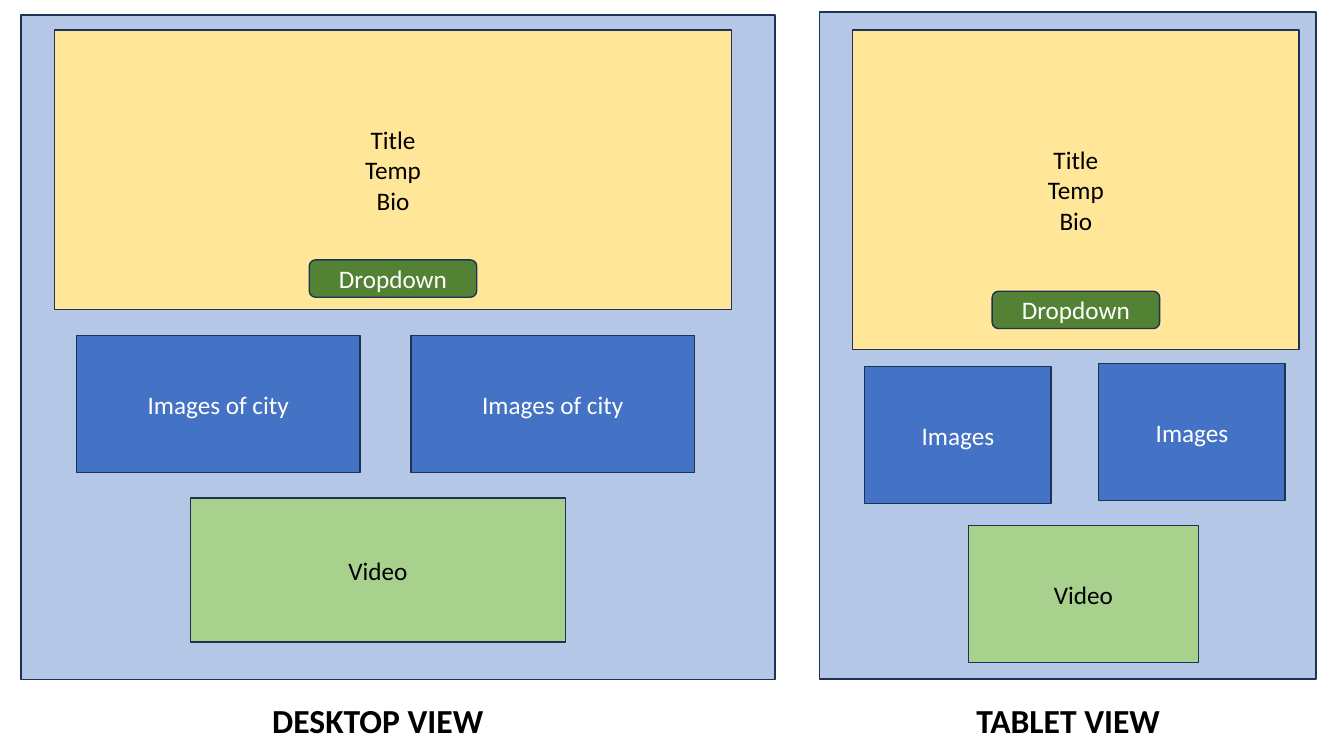
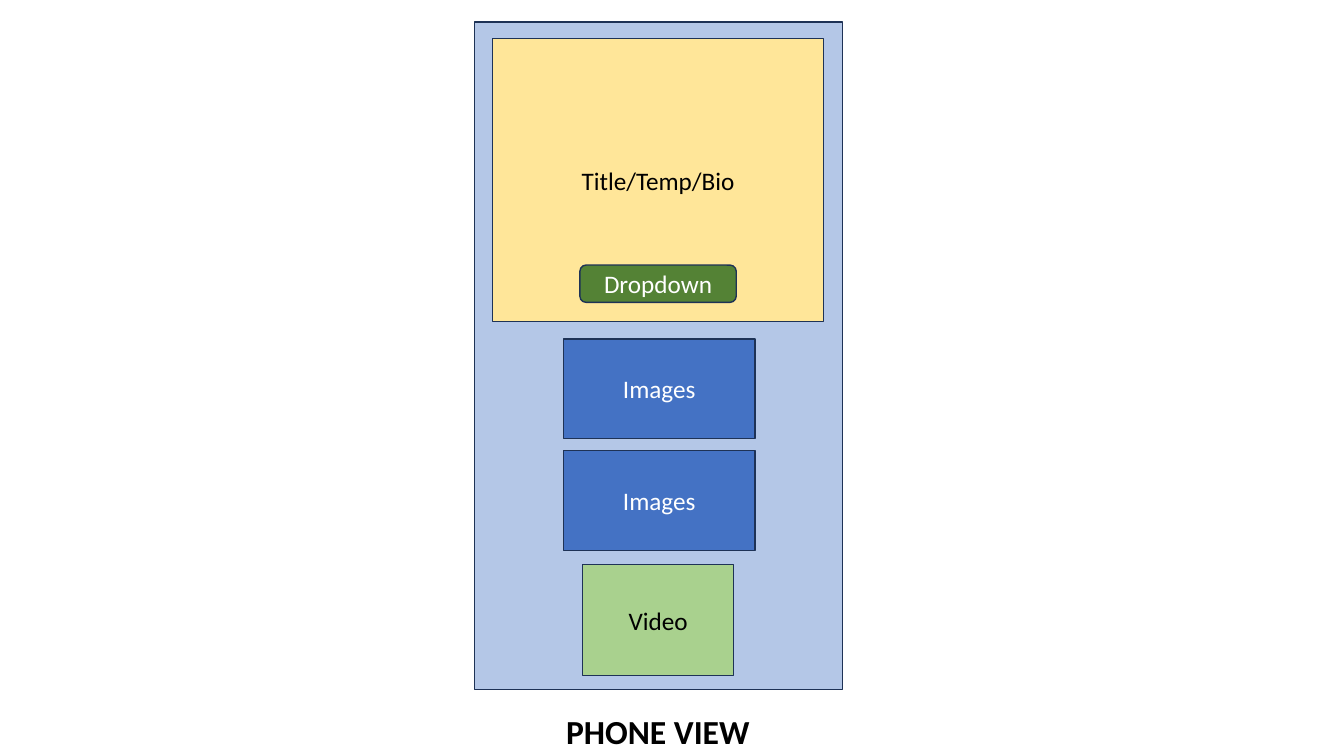
"""Builds wireframes of a city page in desktop, tablet and phone views."""
from dataclasses import dataclass

from pptx import Presentation
from pptx import util as u
from pptx.dml import color
from pptx.enum import shapes, text

FONT = "Calibri"
COLOURS = {
    "page": "B4C7E7",
    "hero": "FFE699",
    "image": "4472C4",
    "video": "A9D18E",
    "dropdown": "548235",
    "outline": "1E3256",
    "dark": "000000",
    "light": "FFFFFF",
}
DROPDOWN_HEIGHT = 0.94
CAPTION_HEIGHT = 1.27


@dataclass
class View:
    """A page frame on the slide; its parts are placed from the frame's corner."""
    caption: str
    frame: tuple
    hero: tuple
    hero_lines: tuple
    dropdown_top: float
    dropdown_width: float
    image_label: str
    image_size: tuple
    image_corners: tuple
    video: tuple
    caption_corner: tuple
    caption_width: float


DESKTOP = View(
    caption="DESKTOP VIEW",
    frame=(0.53, 0.38, 19, 16.74),
    hero=(0.84, 0.38, 17.07, 7.04),
    hero_lines=("Title", "Temp", "Bio"),
    dropdown_top=6.17,
    dropdown_width=4.22,
    image_label="Images of city",
    image_size=(7.14, 3.45),
    image_corners=((1.4, 8.08), (9.83, 8.08)),
    video=(4.27, 12.17, 9.45, 3.63),
    caption_corner=(3.91, 17.12),
    caption_width=10.16,
)
TABLET = View(
    caption="TABLET VIEW",
    frame=(20.65, 0.3, 12.52, 16.81),
    hero=(0.84, 0.46, 11.25, 8.05),
    hero_lines=("Title", "Temp", "Bio"),
    dropdown_top=7.04,
    dropdown_width=4.22,
    image_label="Images",
    image_size=(4.7, 3.45),
    image_corners=((1.14, 8.94), (7.04, 8.86)),
    video=(3.76, 12.95, 5.79, 3.45),
    caption_corner=(1.19, 17.2),
    caption_width=10.16,
)
PHONE = View(
    caption="PHONE VIEW",
    frame=(11.96, 0.56, 9.27, 16.81),
    hero=(0.46, 0.41, 8.33, 7.14),
    hero_lines=("Title/Temp/Bio",),
    dropdown_top=6.12,
    dropdown_width=3.94,
    image_label="Images",
    image_size=(4.83, 2.51),
    image_corners=((2.24, 7.98), (2.24, 10.8)),
    video=(2.72, 13.67, 3.81, 2.79),
    caption_corner=(0.86, 17.22),
    caption_width=7.52,
)


def rgb(name):
    """Return the named colour."""
    return color.RGBColor.from_string(COLOURS[name])


def lengths(box):
    """Turn a box in centimetres into lengths."""
    return [u.Cm(value) for value in box]


def write(shape, lines, ink, size=18, bold=False):
    """Write centred lines, one paragraph each."""
    frame = shape.text_frame
    frame.word_wrap = True
    for index, line in enumerate(lines):
        paragraph = frame.add_paragraph() if index else frame.paragraphs[0]
        paragraph.alignment = text.PP_ALIGN.CENTER
        run = paragraph.add_run()
        run.text = line
        run.font.name = FONT
        run.font.size = u.Pt(size)
        run.font.bold = bold
        run.font.color.rgb = rgb(ink)


def add_block(slide, box, fill, lines=(), ink="light", preset=shapes.MSO_SHAPE.RECTANGLE):
    """Add an outlined block with centred text."""
    shape = slide.shapes.add_shape(preset, *lengths(box))
    shape.shadow.inherit = False
    shape.fill.solid()
    shape.fill.fore_color.rgb = rgb(fill)
    shape.line.color.rgb = rgb("outline")
    shape.line.width = u.Pt(1)
    shape.text_frame.vertical_anchor = text.MSO_ANCHOR.MIDDLE
    write(shape, lines, ink)


def add_caption(slide, box, caption):
    """Add the bold name under a view."""
    write(slide.shapes.add_textbox(*lengths(box)), [caption], "dark", size=24, bold=True)


def add_view(slide, view):
    """Draw one page view with all its parts."""
    left, top = view.frame[:2]

    def inside(x, y, width, height):
        """Shift a box from the frame's corner to the slide."""
        return left + x, top + y, width, height

    add_block(slide, view.frame, "page")
    add_block(slide, inside(*view.hero), "hero", view.hero_lines, "dark")
    dropdown_left = view.hero[0] + (view.hero[2] - view.dropdown_width) / 2
    add_block(
        slide,
        inside(dropdown_left, view.dropdown_top, view.dropdown_width, DROPDOWN_HEIGHT),
        "dropdown",
        ["Dropdown"],
        preset=shapes.MSO_SHAPE.ROUNDED_RECTANGLE,
    )
    for corner in view.image_corners:
        add_block(slide, inside(*corner, *view.image_size), "image", [view.image_label])
    add_block(slide, inside(*view.video), "video", ["Video"], "dark")
    caption_box = inside(*view.caption_corner, view.caption_width, CAPTION_HEIGHT)
    add_caption(slide, caption_box, view.caption)


def main():
    """Build and save the presentation."""
    presentation = Presentation()
    presentation.slide_width = u.Cm(33.87)
    presentation.slide_height = u.Cm(19.05)
    for views in ((DESKTOP, TABLET), (PHONE,)):
        slide = presentation.slides.add_slide(presentation.slide_layouts[6])
        for view in views:
            add_view(slide, view)
    presentation.save("out.pptx")


if __name__ == "__main__":
    main()
